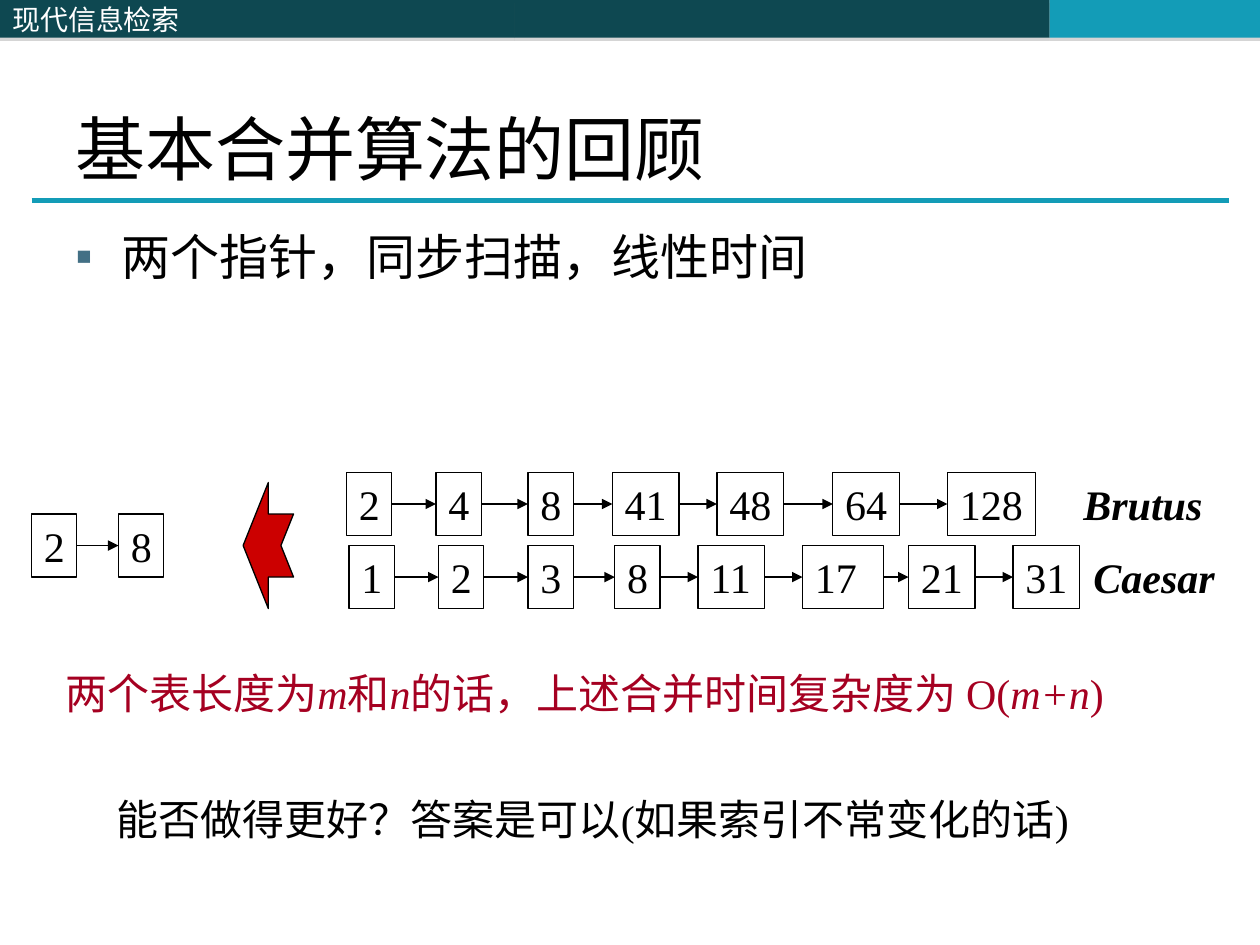
"""Build the slide that reviews the basic merge of two postings lists."""
from dataclasses import dataclass
from typing import Optional

from lxml.etree import SubElement
from pptx import Presentation
from pptx.dml.color import RGBColor
from pptx.enum.shapes import MSO_CONNECTOR, MSO_SHAPE
from pptx.enum.text import MSO_ANCHOR, PP_ALIGN
from pptx.oxml.ns import qn
from pptx.util import Inches, Pt

BLACK = RGBColor(0x00, 0x00, 0x00)
WHITE = RGBColor(0xFF, 0xFF, 0xFF)
DARK = RGBColor(0x0E, 0x48, 0x51)
TEAL = RGBColor(0x13, 0x9C, 0xB7)
RED = RGBColor(0xCC, 0x00, 0x00)
WINE = RGBColor(0xA5, 0x00, 0x21)
SERIF = "Times New Roman"
SANS = "Noto Sans CJK SC"
ONE, TWO, THREE = 0.36, 0.53, 0.7
TALL = 0.5


@dataclass
class Node:
    text: str
    left: float
    width: float = ONE
    wrap: bool = False


@dataclass
class Chain:
    top: float
    nodes: list[Node]


@dataclass
class Label:
    text: str
    left: float
    top: float
    width: float
    height: float = TALL
    size: int = 24
    color: RGBColor = BLACK
    strong: Optional[bool] = None
    wrap: bool = False
    anchor: MSO_ANCHOR = MSO_ANCHOR.TOP


@dataclass
class Bar:
    left: float
    width: float
    color: RGBColor


BARS = [Bar(4.08, 4.25, DARK), Bar(8.33, 1.67, TEAL), Bar(0, 4.08, DARK)]
CHAINS = [
    Chain(3.75, [Node("2", 2.75), Node("4", 3.46), Node("8", 4.19),
                 Node("41", 4.86, TWO), Node("48", 5.69, TWO),
                 Node("64", 6.61, TWO), Node("128", 7.52, THREE)]),
    Chain(4.33, [Node("1", 2.77), Node("2", 3.48), Node("3", 4.19),
                 Node("8", 4.88), Node("11", 5.54, TWO),
                 Node("17", 6.37, 0.64, True), Node("21", 7.21, TWO),
                 Node("31", 8.04, TWO)]),
    Chain(4.08, [Node("2", 0.25), Node("8", 0.94)]),
]
TITLE = Label("基本合并算法的回顾", 0.5, 0.3, 9, 1.25, 40,
              wrap=True, anchor=MSO_ANCHOR.BOTTOM)
POINT = Label("两个指针，同步扫描，线性时间", 0.5, 1.75, 9, 5.42, 28, wrap=True)
NAMES = [Label("Brutus", 8.5, 3.75, 1.2, strong=True),
         Label("Caesar", 8.58, 4.33, 1.2, strong=True)]
COST = Label("", 0.42, 5.25, 8.85, 0.9, color=WINE)
PARTS = ["两个表长度为", "m", "和", "n", "的话，上述合并时间复杂度为 O(", "m+n", ")"]
ASK = Label("能否做得更好？答案是可以(如果索引不常变化的话)", 0.83, 6.25, 8.42, wrap=True)
ARROW = [(2.33, 4.58), (2.13, 4.58), (2.13, 4.83), (1.93, 4.33), (2.13, 3.83),
         (2.13, 4.08), (2.33, 4.08), (2.23, 4.33)]


def style(para, size: int, color: RGBColor, face: str = SERIF) -> None:
    para.alignment = PP_ALIGN.LEFT
    para.font.size = Pt(size)
    para.font.name = face
    para.font.color.rgb = color


def add_bar(slide, bar: Bar):
    shape = slide.shapes.add_shape(MSO_SHAPE.RECTANGLE, Inches(bar.left), 0,
                                   Inches(bar.width), Inches(0.3))
    shape.fill.solid()
    shape.fill.fore_color.rgb = bar.color
    shape.line.fill.background()
    shape.shadow.inherit = False
    effect = shape._element.spPr.find(qn("a:effectLst"))
    cast = SubElement(effect, qn("a:outerShdw"), dist=str(Pt(1.8)),
                      dir="5400000", rotWithShape="0")
    gray = SubElement(cast, qn("a:srgbClr"), val="808080")
    SubElement(gray, qn("a:alpha"), val="32000")
    return shape


def add_line(slide, start: tuple, end: tuple, color: RGBColor, width: float):
    line = slide.shapes.add_connector(
        MSO_CONNECTOR.STRAIGHT, *(Inches(v) for v in start + end))
    line.line.color.rgb = color
    line.line.width = Pt(width)
    SubElement(line._element.spPr, qn("a:effectLst"))
    return line


def add_label(slide, label: Label):
    box = slide.shapes.add_textbox(Inches(label.left), Inches(label.top),
                                   Inches(label.width), Inches(label.height))
    frame = box.text_frame
    frame.word_wrap = label.wrap
    frame.vertical_anchor = label.anchor
    para = frame.paragraphs[0]
    para.text = label.text
    style(para, label.size, label.color)
    para.font.bold = para.font.italic = label.strong
    return para


def add_point(slide, label: Label) -> None:
    para = add_label(slide, label)
    props = para._p.get_or_add_pPr()
    props.set("marL", str(Inches(0.37)))
    props.set("indent", str(-Inches(0.37)))
    tint = props.makeelement(qn("a:buClr"), {})
    SubElement(tint, qn("a:srgbClr"), val="437085")
    props.insert(0, tint)
    props.insert(1, props.makeelement(qn("a:buFont"), {"typeface": SERIF}))
    props.insert(2, props.makeelement(qn("a:buChar"), {"char": "▪"}))


def add_node(slide, node: Node, top: float):
    box = slide.shapes.add_shape(MSO_SHAPE.RECTANGLE, Inches(node.left),
                                 Inches(top), Inches(node.width), Inches(TALL))
    box.fill.background()
    box.line.color.rgb = BLACK
    box.line.width = Pt(0.75)
    box.shadow.inherit = False
    frame = box.text_frame
    frame.word_wrap = node.wrap
    frame.vertical_anchor = MSO_ANCHOR.TOP
    para = frame.paragraphs[0]
    para.text = node.text
    style(para, 24, BLACK)
    return box


def add_chain(slide, chain: Chain) -> None:
    boxes = [add_node(slide, node, chain.top) for node in chain.nodes]
    for left, right in zip(boxes, boxes[1:]):
        link = add_line(slide, (0, 0), (1, 1), BLACK, 0.75)
        link.begin_connect(left, 3)
        link.end_connect(right, 1)
        SubElement(link.line._get_or_add_ln(), qn("a:tailEnd"), type="triangle")


def add_arrow(slide) -> None:
    first, *rest = [(Inches(x), Inches(y)) for x, y in ARROW]
    path = slide.shapes.build_freeform(*first)
    path.add_line_segments(rest, close=True)
    arrow = path.convert_to_shape()
    arrow.fill.solid()
    arrow.fill.fore_color.rgb = RED
    arrow.line.color.rgb = BLACK
    arrow.line.width = Pt(0.75)
    arrow.shadow.inherit = False


def main() -> None:
    deck = Presentation()
    deck.slide_width, deck.slide_height = Inches(10), Inches(7.5)
    slide = deck.slides.add_slide(deck.slide_layouts[6])
    bars = [add_bar(slide, bar) for bar in BARS]
    head = bars[-1].text_frame.paragraphs[0]
    head.text = "现代信息检索"
    style(head, 16, WHITE, SANS)
    add_line(slide, (0.25, 1.59), (9.75, 1.59), TEAL, 3)
    add_label(slide, TITLE)
    add_point(slide, POINT)
    for chain in CHAINS:
        add_chain(slide, chain)
    for name in NAMES:
        add_label(slide, name)
    add_arrow(slide)
    cost = add_label(slide, COST)
    for index, part in enumerate(PARTS):
        run = cost.add_run()
        run.text = part
        run.font.italic = index % 2 == 1
    add_label(slide, ASK)
    deck.save("out.pptx")


if __name__ == "__main__":
    main()
